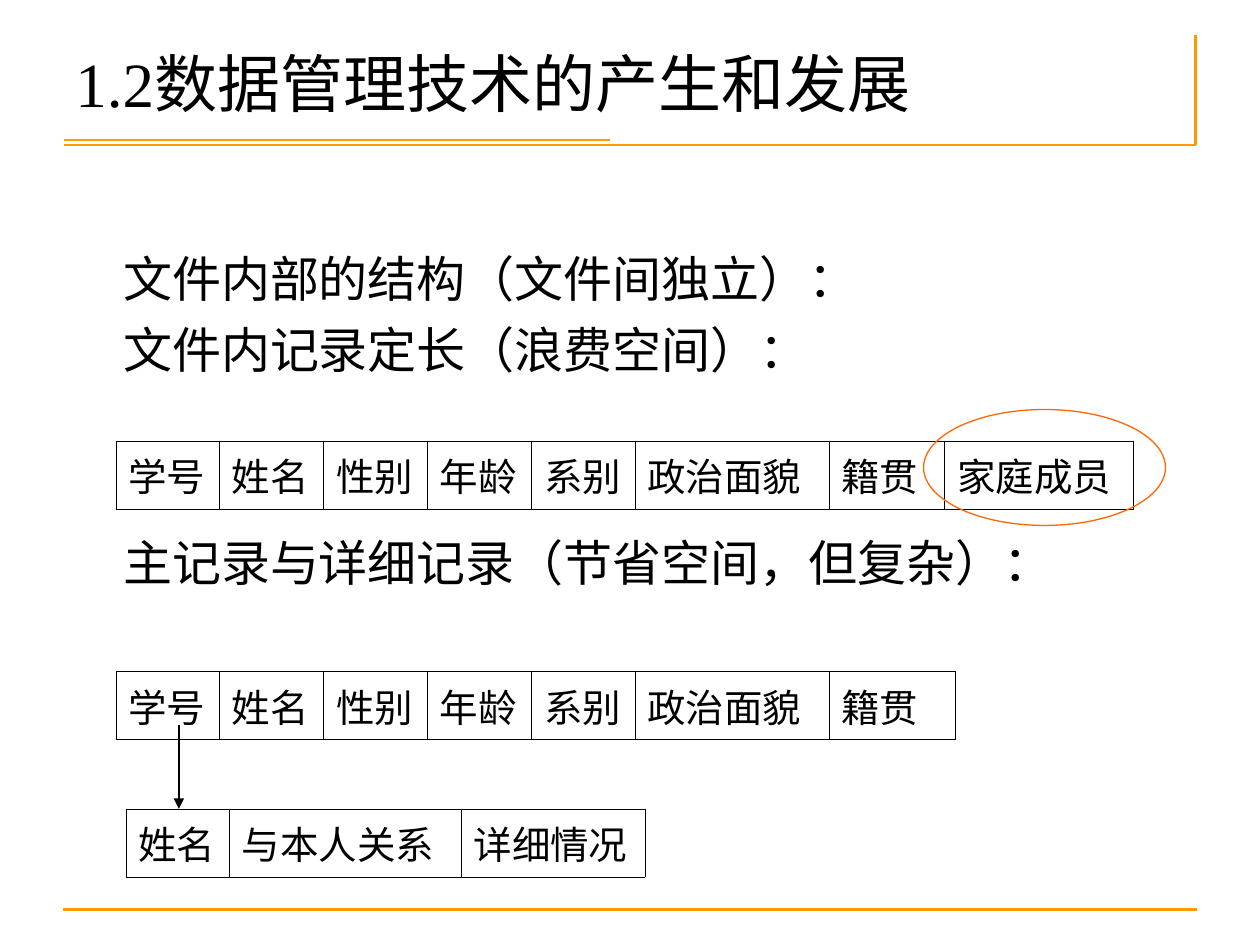
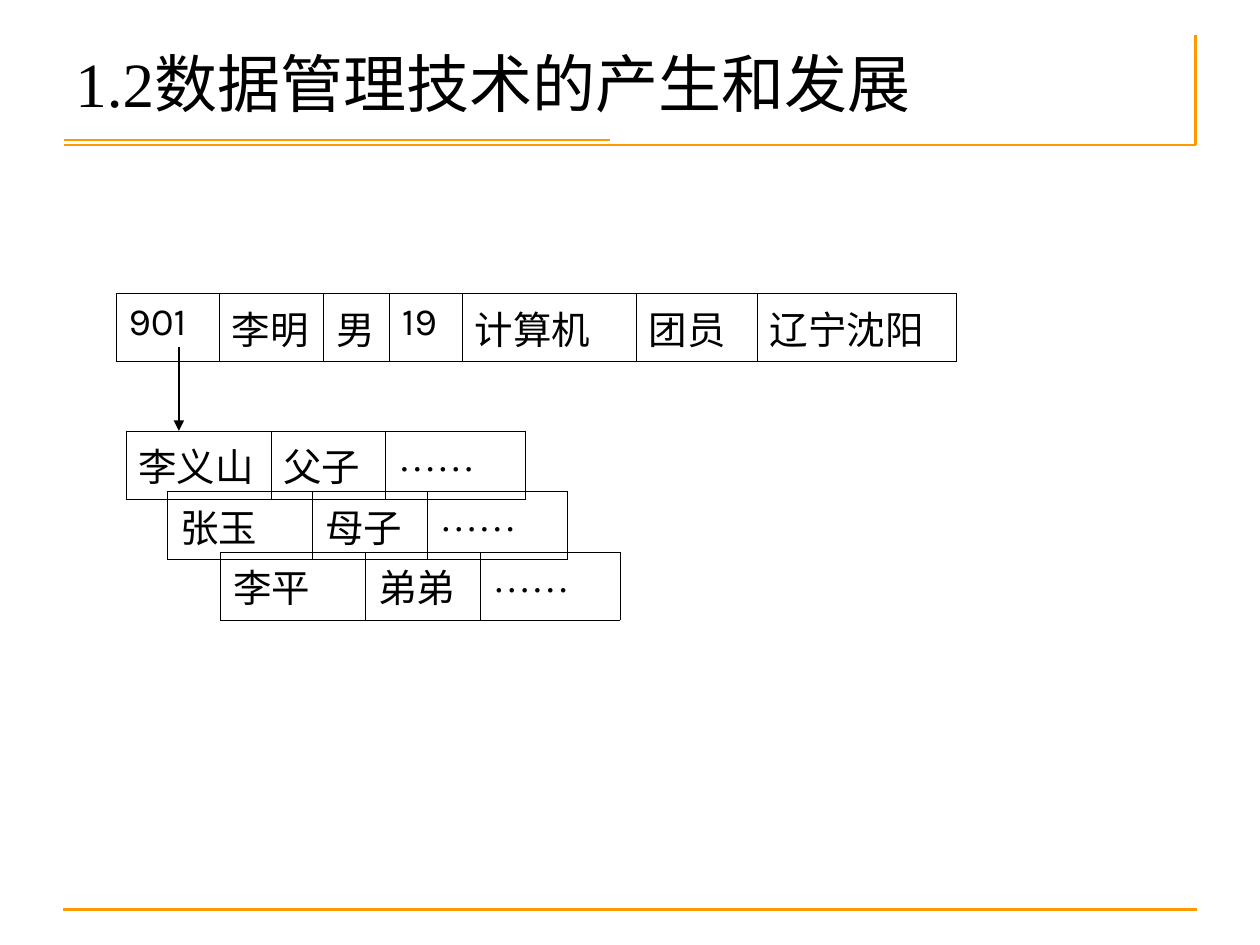
from lxml import etree
from pptx import Presentation
from pptx.dml.color import RGBColor
from pptx.enum.shapes import MSO_CONNECTOR, MSO_SHAPE
from pptx.oxml.ns import qn
from pptx.util import Inches, Pt

LINE = MSO_CONNECTOR.STRAIGHT
ELLIPSE = MSO_SHAPE.OVAL

COLORS = {"accent": "FF9900", "ink": "000000", "ring": "FF6600"}
SANS, SERIF, CELL = "Arial", "Times New Roman", "Karla"
TITLE = "1.2数据管理技术的产生和发展"
ROW_HEIGHT = 0.54
DOTS = "……"


def rgb(name):
    return RGBColor.from_string(COLORS[name])


class Deck:
    def __init__(self):
        self.prs = Presentation()
        self.prs.slide_width, self.prs.slide_height = Inches(10), Inches(7.5)
        self.s = None

    def slide(self):
        """Start a slide with the shared rules and title."""
        self.s = self.prs.slides.add_slide(self.prs.slide_layouts[6])
        self.line(0.5, 7.22, 9.5, 7.22)
        self.line(0.51, 1.15, 9.49, 1.15)
        self.line(9.49, 0.28, 9.49, 1.15)
        self.line(0.51, 1.11, 4.84, 1.11)
        self.text(0.5, 0.3, 9, 0.85, [TITLE], 36, SERIF)

    def style(self, p, size, font):
        for r in p.runs:
            r.font.size, r.font.name = Pt(size), font
            r.font.color.rgb = rgb("ink")

    def line(self, x1, y1, x2, y2, color="accent", width=1.5, arrow=False):
        c = self.s.shapes.add_connector(LINE, Inches(x1), Inches(y1), Inches(x2), Inches(y2))
        c.line.color.rgb, c.line.width = rgb(color), Pt(width)
        if arrow:
            etree.SubElement(c.line._get_or_add_ln(), qn("a:tailEnd"), type="triangle")
        etree.SubElement(c._element.spPr, qn("a:effectLst"))

    def ring(self, x, y, w, h):
        sp = self.s.shapes.add_shape(ELLIPSE, Inches(x), Inches(y), Inches(w), Inches(h))
        sp.shadow.inherit = False
        sp.fill.background()
        sp.line.color.rgb, sp.line.width = rgb("ring"), Pt(0.75)

    def text(self, x, y, w, h, lines, size, font, gaps=()):
        tf = self.s.shapes.add_textbox(Inches(x), Inches(y), Inches(w), Inches(h)).text_frame
        tf.word_wrap = True
        tf.text = "\n".join(lines)
        for p in tf.paragraphs:
            self.style(p, size, font)
        for p, gap in zip(tf.paragraphs[1:], gaps):
            p.space_before = Pt(gap)

    def record(self, x, y, widths, values):
        """Draw one record as a single-row table."""
        table = self.s.shapes.add_table(1, len(values), Inches(x), Inches(y),
                                        Inches(sum(widths)), Inches(ROW_HEIGHT)).table
        table.first_row = table.horz_banding = False
        for column, width, cell, value in zip(table.columns, widths, table.rows[0].cells, values):
            column.width = Inches(width)
            cell.text = value
            self.style(cell.text_frame.paragraphs[0], 22, SERIF if value == DOTS else CELL)
            self.borders(cell)
            cell.fill.background()

    def borders(self, cell):
        tcPr = cell._tc.get_or_add_tcPr()
        for side in ("lnL", "lnR", "lnT", "lnB"):
            ln = etree.SubElement(tcPr, qn("a:" + side), w=str(Pt(0.45)))
            fill = etree.SubElement(ln, qn("a:solidFill"))
            etree.SubElement(fill, qn("a:srgbClr"), val=COLORS["ink"])

    def pointer(self, y):
        """Arrow from a main record down to its detail record."""
        self.line(1.42, y, 1.42, y + 0.67, "ink", 0.75, arrow=True)


def main():
    deck = Deck()
    fields = ["学号", "姓名", "性别", "年龄", "系别", "政治面貌", "籍贯"]
    field_widths = [0.82, 0.83, 0.82, 0.83, 0.82, 1.54]

    # Slide 1: record structures
    deck.slide()
    deck.text(0.88, 1.92, 8.5, 4.96,
              ["文件内部的结构（文件间独立）：", "文件内记录定长（浪费空间）：",
               "主记录与详细记录（节省空间，但复杂）："],
              28, SANS, gaps=(7, 88.5))
    deck.record(0.92, 3.5, field_widths + [0.92, 1.5], fields + ["家庭成员"])
    deck.record(0.92, 5.33, field_widths + [1], fields)
    deck.record(1, 6.42, [0.82, 1.84, 1.46], ["姓名", "与本人关系", "详细情况"])
    deck.pointer(5.75)
    deck.ring(7.33, 3.25, 1.92, 0.92)

    # Slide 2: a main record with its detail records
    deck.slide()
    deck.record(0.92, 2.33, [0.82, 0.83, 0.52, 0.58, 1.38, 0.96, 1.58],
                ["901", "李明", "男", "19", "计算机", "团员", "辽宁沈阳"])
    relatives = [(1, "李义山", "父子"), (1.33, "张玉", "母子"), (1.75, "李平", "弟弟")]
    for i, (x, name, relation) in enumerate(relatives):
        deck.record(x, 3.42 + 0.48 * i, [1.15, 0.91, 1.11], [name, relation, DOTS])
    deck.pointer(2.75)

    deck.prs.save("out.pptx")


if __name__ == "__main__":
    main()
